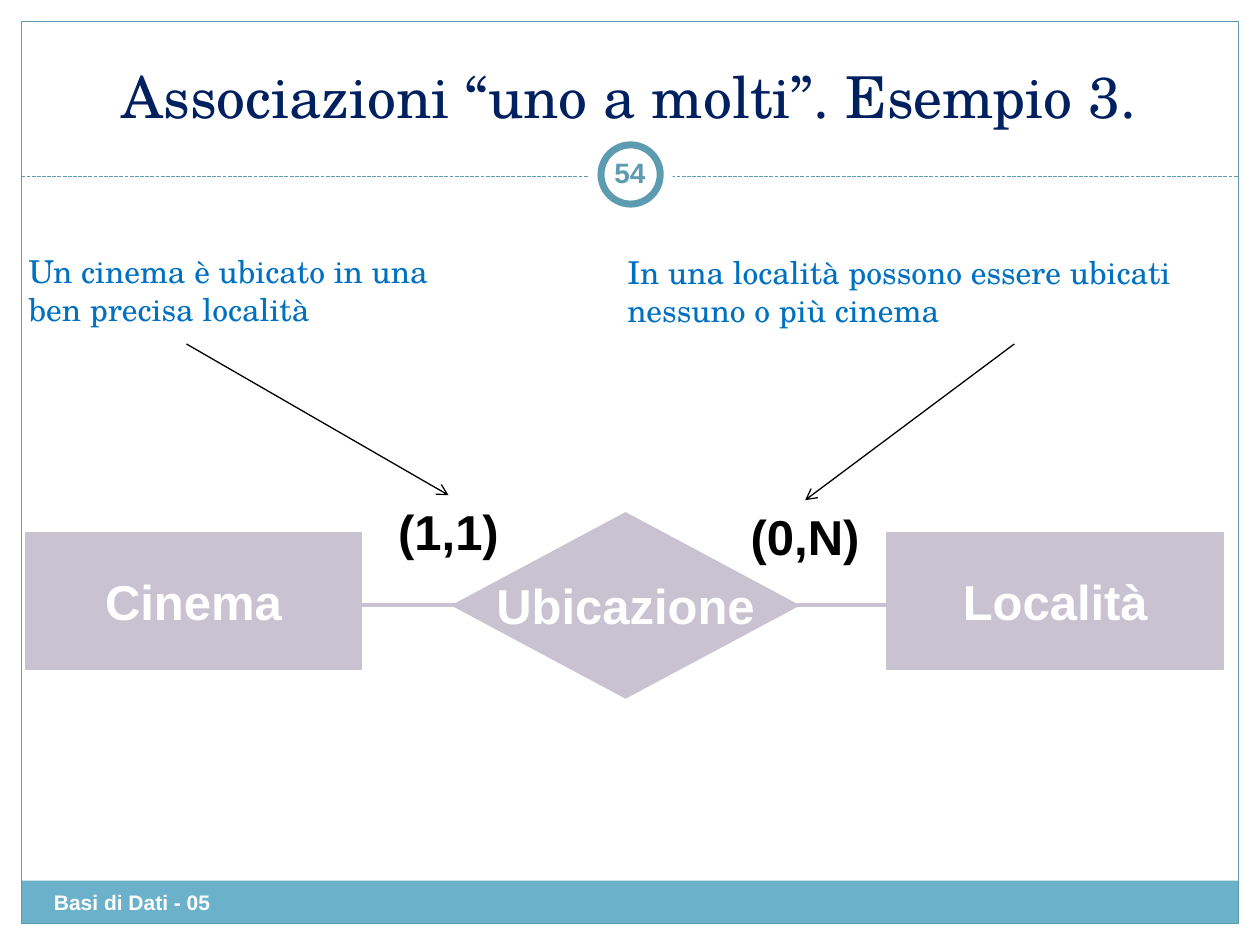
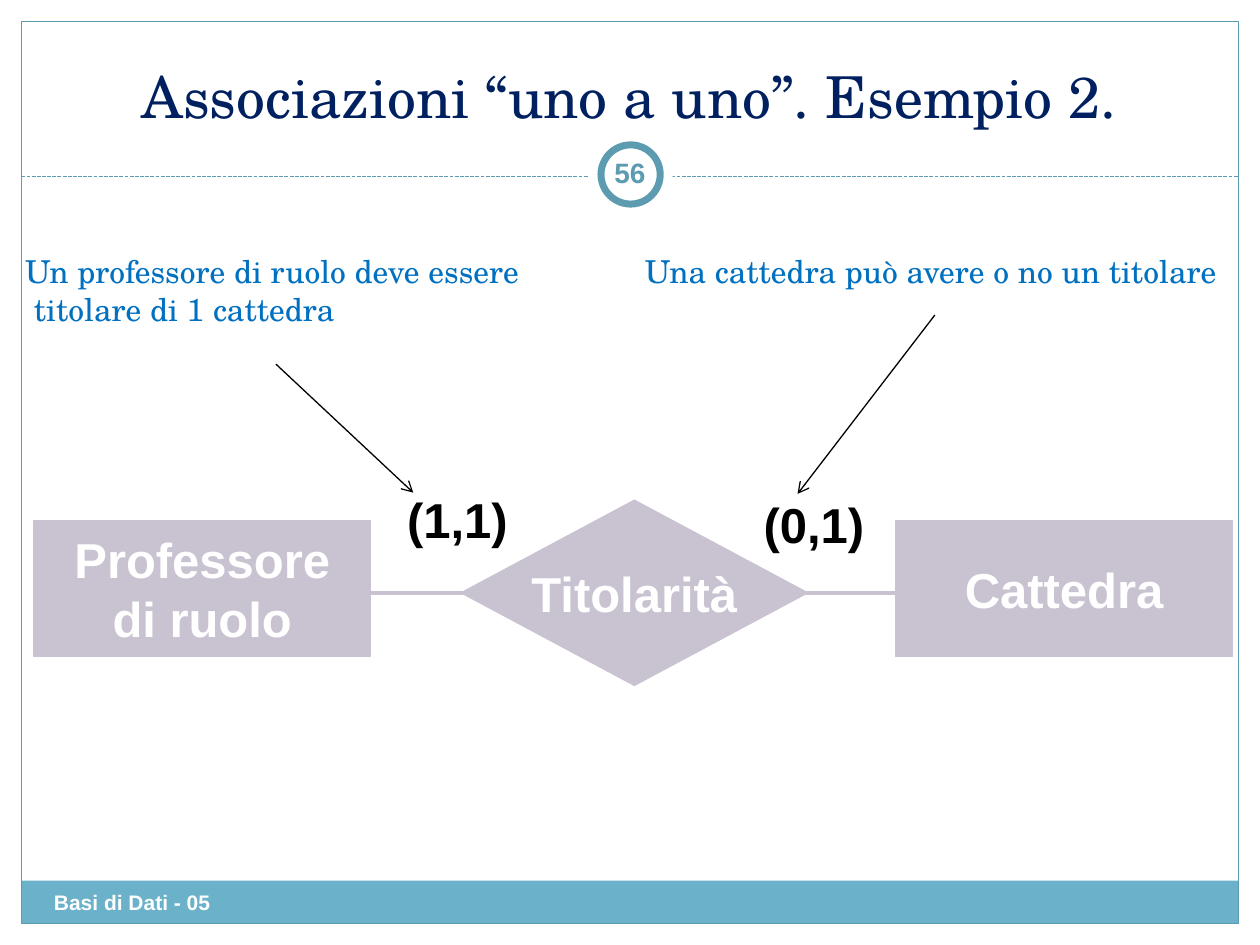
import dataclasses

import lxml.etree
import pptx
import pptx.dml.color
import pptx.enum.dml
import pptx.enum.shapes
import pptx.enum.text
import pptx.oxml.ns
import pptx.util

Inches = pptx.util.Inches
Shapes = pptx.enum.shapes.MSO_SHAPE
Align = pptx.enum.text.PP_ALIGN
Anchor = pptx.enum.text.MSO_ANCHOR
AutoSize = pptx.enum.text.MSO_AUTO_SIZE


@dataclasses.dataclass(frozen=True)
class Theme:
    """Colours, fonts and type sizes shared by the slides."""
    white: str = "FFFFFF"
    black: str = "000000"
    band: str = "6BB1C9"
    rule: str = "5D9BB1"
    title: str = "002060"
    note: str = "0070C0"
    entity: str = "C9C2D1"
    serif: str = "TeX Gyre Schola"
    sans: str = "Arial"
    title_size: float = 33
    label_size: float = 28
    note_size: float = 18
    number_size: float = 16
    footer_size: float = 12


THEME = Theme()
FOOTER = "Basi di Dati - 05"


@dataclasses.dataclass(frozen=True)
class Note:
    """A comment with its box and the arrow that leaves it."""
    lines: tuple
    box: tuple
    start: tuple
    end: tuple
    last_indent: float = 0


@dataclasses.dataclass(frozen=True)
class Example:
    """The content of one association slide."""
    title: str
    number: str
    origin: tuple
    entities: tuple
    association: str
    cardinalities: tuple
    notes: tuple


EXAMPLES = (
    Example(
        title="Associazioni “uno a molti”. Esempio 3.",
        number="54",
        origin=(0.2, 4.07),
        entities=(("Cinema",), ("Località",)),
        association="Ubicazione",
        cardinalities=("(1,1)", "(0,N)"),
        notes=(
            Note(("Un cinema è ubicato in una", "ben precisa località"),
                 (0.13, 1.95, 3.53, 0.7), (1.48, 2.73), (3.56, 3.93)),
            Note(("In una località possono essere ubicati", "nessuno o più cinema"),
                 (4.88, 1.96, 4.65, 0.7), (8.05, 2.73), (6.39, 3.97)),
        ),
    ),
    Example(
        title="Associazioni “uno a uno”. Esempio 2.",
        number="56",
        origin=(0.27, 3.97),
        entities=(("Professore", "di ruolo"), ("Cattedra",)),
        association="Titolarità",
        cardinalities=("(1,1)", "(0,1)"),
        notes=(
            Note(("Un professore di ruolo deve essere", "titolare di 1 cattedra"),
                 (0.1, 1.95, 4.31, 0.7), (2.19, 2.89), (3.28, 3.91), last_indent=0.07),
            Note(("Una cattedra può avere o no un titolare",),
                 (5.02, 1.95, 4.89, 0.4), (7.42, 2.5), (6.33, 3.92)),
        ),
    ),
)


def rgb(value):
    """Turn a hexadecimal string into a colour."""
    return pptx.dml.color.RGBColor.from_string(value)


def lengths(values):
    """Turn numbers of inches into lengths."""
    return [Inches(value) for value in values]


def write(shape, lines, *, size, color, font=THEME.sans, bold=False, align=Align.LEFT,
          anchor=Anchor.TOP, wrap=False, inset=0.1, auto_size=AutoSize.NONE, last_indent=0):
    """Write one paragraph per line into a shape."""
    frame = shape.text_frame
    frame.word_wrap = wrap
    frame.auto_size = auto_size
    frame.vertical_anchor = anchor
    frame.margin_left = frame.margin_right = Inches(inset)
    frame.margin_top = frame.margin_bottom = Inches(0.05)
    frame.text = "\n".join(lines)
    for paragraph in frame.paragraphs:
        paragraph.alignment = align
        paragraph.font.size = pptx.util.Pt(size)
        paragraph.font.name = font
        paragraph.font.bold = bold
        paragraph.font.color.rgb = rgb(color)
    if last_indent:
        properties = frame.paragraphs[-1]._p.get_or_add_pPr()
        properties.set("marL", str(Inches(last_indent)))
        properties.set("indent", "0")


def add_text(slide, box, lines, **text_format):
    """Add a text box with formatted text."""
    write(slide.shapes.add_textbox(*lengths(box)), lines, **text_format)


def add_shape(slide, kind, box, *, fill=None, line=None, width=0.75):
    """Add a preset shape without shadow."""
    shape = slide.shapes.add_shape(kind, *lengths(box))
    shape.shadow.inherit = False
    if fill:
        shape.fill.solid()
        shape.fill.fore_color.rgb = rgb(fill)
    else:
        shape.fill.background()
    if line:
        shape.line.color.rgb = rgb(line)
        shape.line.width = pptx.util.Pt(width)
    else:
        shape.line.fill.background()
    return shape


def add_line(slide, start, end, *, color, width=0.75, dash=None, arrow=False):
    """Add a straight line, optionally dashed or with an arrowhead."""
    line = slide.shapes.add_connector(
        pptx.enum.shapes.MSO_CONNECTOR.STRAIGHT, *lengths(start + end))
    line.line.color.rgb = rgb(color)
    line.line.width = pptx.util.Pt(width)
    if dash:
        line.line.dash_style = dash
    if arrow:
        lxml.etree.SubElement(line.line._get_or_add_ln(),
                              pptx.oxml.ns.qn("a:tailEnd"), type="arrow")
    lxml.etree.SubElement(line._element.spPr, pptx.oxml.ns.qn("a:effectLst"))


def add_frame(slide, box):
    """Draw the footer band, the border and the dashed rule."""
    left, top, width, height = box
    band_height = 0.34
    add_shape(slide, Shapes.RECTANGLE,
              (left, top + height - band_height, width, band_height), fill=THEME.band)
    add_shape(slide, Shapes.RECTANGLE, box, line=THEME.rule)
    add_line(slide, (left, 1.4), (left + width, 1.4), color=THEME.rule,
             dash=pptx.enum.dml.MSO_LINE.SQUARE_DOT)
    add_text(slide, (left + 0.16, top + height - 0.32, 3.92, 0.4), (FOOTER,),
             size=THEME.footer_size, color=THEME.white, bold=True, wrap=True)


def add_badge(slide, box, number):
    """Draw the ring with the slide number."""
    left, top, side, _ = box
    ring = side - 0.2
    add_shape(slide, Shapes.OVAL, box, fill=THEME.white)
    add_shape(slide, Shapes.OVAL, (left + 0.1, top + 0.1, ring, ring),
              fill=THEME.white, line=THEME.rule, width=4)
    add_text(slide, (left + 0.08, top + 0.08, 0.5, 0.48), (number,),
             size=THEME.number_size, color=THEME.rule, bold=True, wrap=True,
             align=Align.CENTER, anchor=Anchor.MIDDLE, inset=0.05)


def add_title(slide, box, text):
    """Place and format the title placeholder."""
    title = slide.shapes.title
    title.left, title.top, title.width, title.height = lengths(box)
    write(title, (text,), size=THEME.title_size, color=THEME.title, font=THEME.serif,
          align=Align.CENTER, anchor=Anchor.BOTTOM, wrap=True)


def add_diagram(slide, box, example):
    """Draw two entities joined by an association, with their cardinalities."""
    left, top, width, height = box
    entity_width, entity_height = 2.67, 1.08
    diamond_width = 2.75
    label = dict(size=THEME.label_size, bold=True, align=Align.CENTER, anchor=Anchor.MIDDLE)
    middle = top + height / 2
    add_line(slide, (left + 2.5, middle), (left + 7.09, middle),
             color=THEME.entity, width=2.25)
    nodes = [(Shapes.DIAMOND, (left + 3.39, top, diamond_width, height),
              (example.association,))]
    for x, lines in zip((left, left + width - entity_width), example.entities):
        nodes.append((Shapes.RECTANGLE, (x, top + 0.16, entity_width, entity_height), lines))
    for kind, node_box, lines in nodes:
        node = add_shape(slide, kind, node_box, fill=THEME.entity, line=THEME.entity)
        write(node, lines, color=THEME.white, **label)
    for x, y, text in zip((2.83, 5.66), (-0.14, -0.1), example.cardinalities):
        add_text(slide, (left + x, top + y, 1.06, 0.57), (text,), color=THEME.black, **label)


def add_note(slide, note):
    """Write a note and draw its arrow."""
    add_text(slide, note.box, note.lines, size=THEME.note_size, color=THEME.note,
             font=THEME.serif, auto_size=AutoSize.SHAPE_TO_FIT_TEXT,
             last_indent=note.last_indent)
    add_line(slide, note.start, note.end, color=THEME.black, arrow=True)


def add_example_slide(presentation, example):
    """Build one association slide."""
    slide = presentation.slides.add_slide(presentation.slide_layouts[5])
    add_frame(slide, (0.17, 0.17, 9.66, 7.16))
    add_badge(slide, (4.67, 1.05, 0.67, 0.67), example.number)
    add_title(slide, (0.33, 0.25, 9.33, 0.83), example.title)
    add_diagram(slide, example.origin + (9.51, 1.47), example)
    for note in example.notes:
        add_note(slide, note)


def main():
    """Build and save the presentation."""
    presentation = pptx.Presentation()
    presentation.slide_width, presentation.slide_height = Inches(10), Inches(7.5)
    for example in EXAMPLES:
        add_example_slide(presentation, example)
    presentation.save("out.pptx")


if __name__ == "__main__":
    main()
